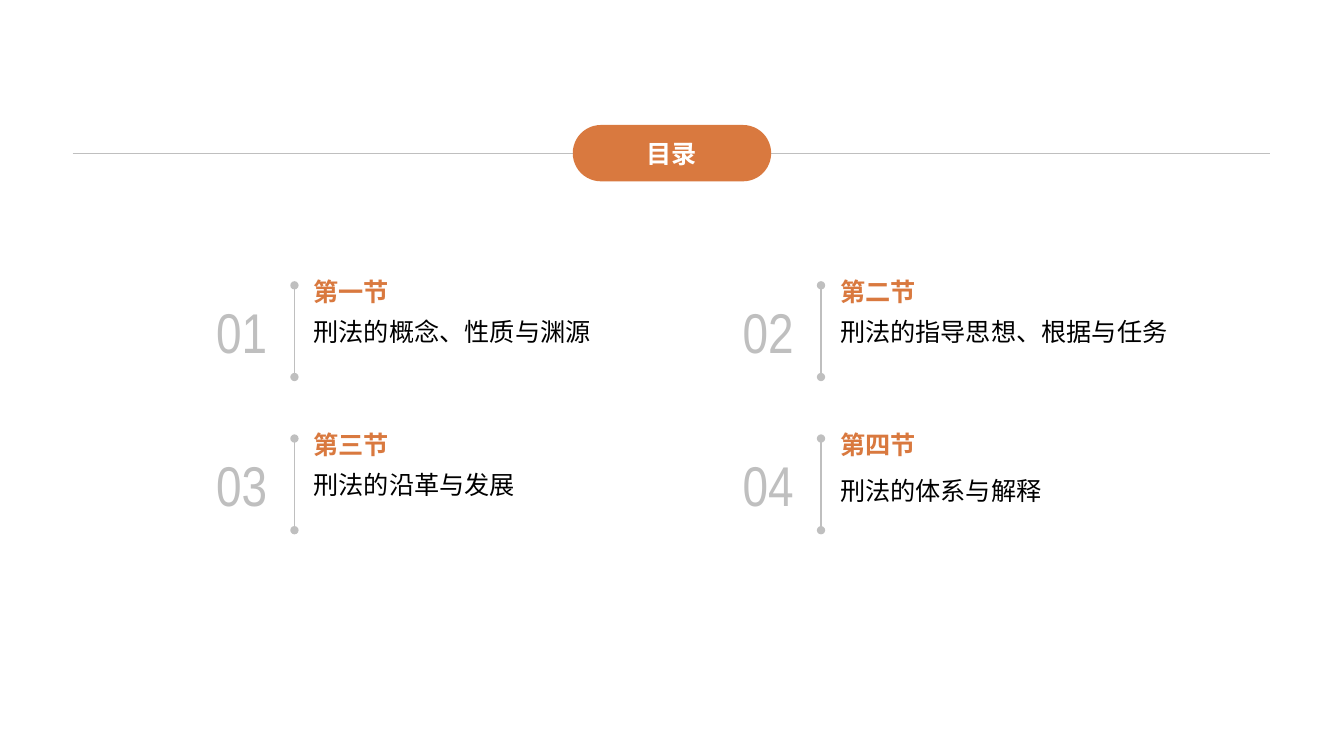
from lxml import etree
from pptx import Presentation
from pptx.dml.color import RGBColor
from pptx.enum.shapes import MSO_CONNECTOR as Connector, MSO_SHAPE as Shape
from pptx.enum.text import MSO_ANCHOR as Anchor, PP_ALIGN as Align
from pptx.oxml.ns import qn
from pptx.util import Cm, Pt

HEADING = "目录"
# title, description, line spacing of the description
SECTIONS = [
    ("第一节", "刑法的概念、性质与渊源", None),
    ("第二节", "刑法的指导思想、根据与任务", None),
    ("第三节", "刑法的沿革与发展", None),
    ("第四节", "刑法的体系与解释", 1.2),
]
ORANGE, GRAY, BLACK, WHITE = "D9793F", "BFBFBF", "000000", "FFFFFF"
CHINESE, NARROW = "Noto Sans CJK SC", "Arial Narrow"

# Lengths in centimetres
WIDTH, HEIGHT = 33.87, 19.05
RULE_LEFT, RULE_RIGHT, RULE_Y = 1.83, 32, 3.86
PILL_WIDTH, PILL_HEIGHT = 5, 1.42
GRID_LEFT, GRID_TOP = 5.05, 7.19
COLUMN_STEP, ROW_STEP, COLUMNS = 13.27, 3.86, 2
NUMBER_WIDTH, ENTRY_HEIGHT = 2.08, 2.31
BAR_OFFSET, TEXT_OFFSET, TEXT_WIDTH = 2.37, 2.6, 8.97
TITLE_RISE, TITLE_HEIGHT, DESCRIPTION_HEIGHT = 0.36, 1.02, 1.63


def color(value):
    return RGBColor.from_string(value)


def write(shape, text, *, size=18, font=CHINESE, fill=BLACK, bold=False,
          align=Align.LEFT, anchor=Anchor.TOP, spacing=None):
    frame = shape.text_frame
    frame.word_wrap = True
    frame.vertical_anchor = anchor
    paragraph = frame.paragraphs[0]
    paragraph.alignment = align
    paragraph.line_spacing = spacing
    run = paragraph.add_run()
    run.text = text
    run.font.size, run.font.bold, run.font.name = Pt(size), bold, font
    run.font.color.rgb = color(fill)
    east_asian = etree.SubElement(run.font._element, qn("a:ea"))
    east_asian.set("typeface", font)


def add_text(slide, left, top, width, height, text, **style):
    box = slide.shapes.add_textbox(Cm(left), Cm(top), Cm(width), Cm(height))
    write(box, text, **style)


def add_line(slide, x1, y1, x2, y2, weight, dots=False):
    line = slide.shapes.add_connector(
        Connector.STRAIGHT, Cm(x1), Cm(y1), Cm(x2), Cm(y2))
    line.line.color.rgb = color(GRAY)
    line.line.width = Pt(weight)
    if dots:
        for end in ("a:headEnd", "a:tailEnd"):
            etree.SubElement(line.line._ln, qn(end)).set("type", "oval")
    etree.SubElement(line._element.spPr, qn("a:effectLst"))


def add_heading(slide):
    add_line(slide, RULE_LEFT, RULE_Y, RULE_RIGHT, RULE_Y, 0.25)
    pill = slide.shapes.add_shape(
        Shape.ROUNDED_RECTANGLE, Cm((WIDTH - PILL_WIDTH) / 2),
        Cm(RULE_Y - PILL_HEIGHT / 2), Cm(PILL_WIDTH), Cm(PILL_HEIGHT))
    pill.adjustments[0] = 0.5
    pill.shadow.inherit = False
    pill.fill.solid()
    pill.fill.fore_color.rgb = color(ORANGE)
    pill.line.fill.background()
    write(pill, HEADING, fill=WHITE, bold=True, align=Align.CENTER,
          anchor=Anchor.MIDDLE)


def add_section(slide, index, title, description, spacing):
    row, column = divmod(index, COLUMNS)
    left = GRID_LEFT + column * COLUMN_STEP
    top = GRID_TOP + row * ROW_STEP
    text_left, title_top = left + TEXT_OFFSET, top - TITLE_RISE
    add_text(slide, left, top, NUMBER_WIDTH, ENTRY_HEIGHT, f"{index + 1:02}",
             size=40, font=NARROW, fill=GRAY, align=Align.CENTER,
             anchor=Anchor.MIDDLE)
    add_text(slide, text_left, title_top, TEXT_WIDTH, TITLE_HEIGHT, title,
             fill=ORANGE, bold=True, anchor=Anchor.BOTTOM)
    add_text(slide, text_left, title_top + TITLE_HEIGHT, TEXT_WIDTH,
             DESCRIPTION_HEIGHT, description, align=Align.JUSTIFY,
             spacing=spacing)
    bar = left + BAR_OFFSET
    add_line(slide, bar, top, bar, top + ENTRY_HEIGHT, 1, dots=True)


def main():
    presentation = Presentation()
    presentation.slide_width, presentation.slide_height = Cm(WIDTH), Cm(HEIGHT)
    slide = presentation.slides.add_slide(presentation.slide_layouts[6])
    add_heading(slide)
    for index, section in enumerate(SECTIONS):
        add_section(slide, index, *section)
    presentation.save("out.pptx")


if __name__ == "__main__":
    main()
